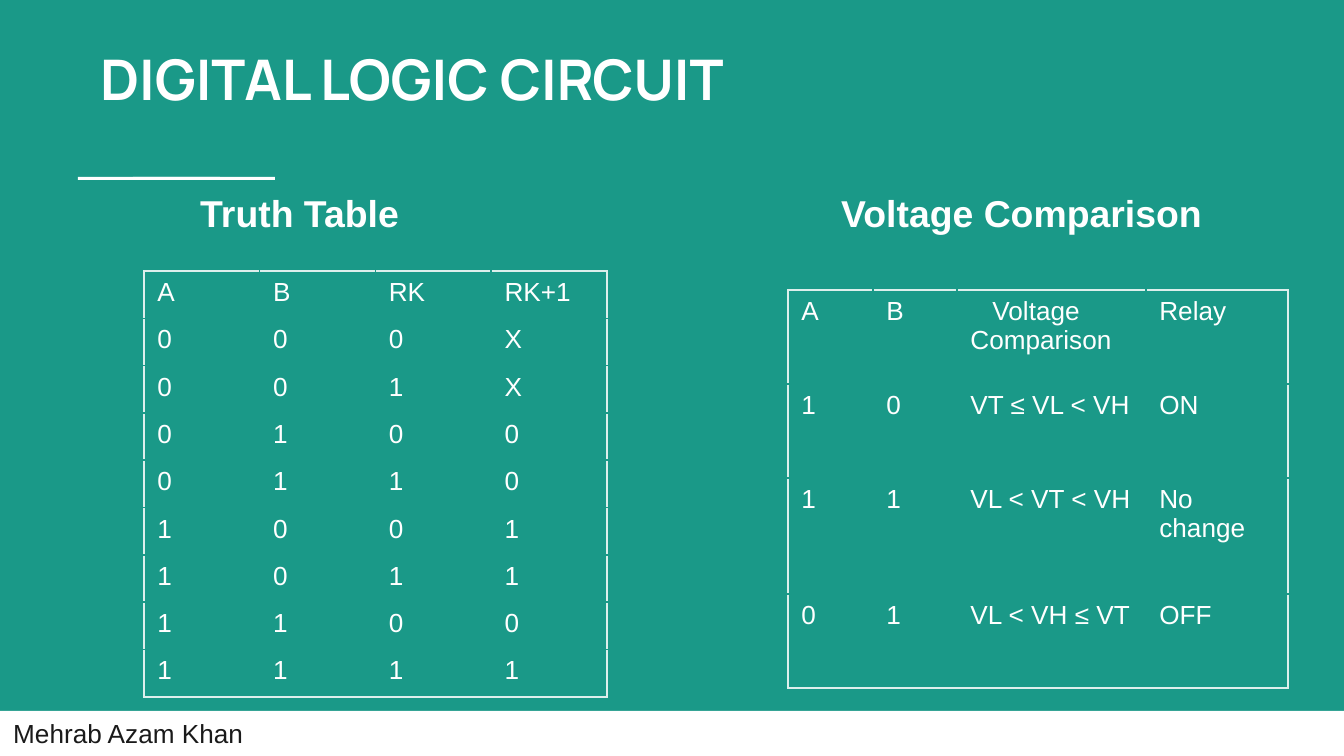
from dataclasses import dataclass

from lxml.etree import SubElement
from pptx import Presentation
from pptx.dml.color import RGBColor
from pptx.enum.shapes import MSO_SHAPE
from pptx.enum.text import MSO_ANCHOR, MSO_AUTO_SIZE, PP_ALIGN
from pptx.oxml.ns import qn
from pptx.util import Pt

PX = 914400 / 134.4


@dataclass(frozen=True)
class Theme:
    teal: str = "1A9988"
    white: str = "FFFFFF"
    ink: str = "1A1A1A"
    frame: str = "DDEFEC"
    title_font: str = "Manrope"
    body_font: str = "Arial"
    title_size: int = 30
    heading_size: int = 20
    body_size: int = 14


THEME = Theme()

TRUTH_ROWS = [
    ["A", "B", "RK", "RK+1"],
    *(list(row) for row in ("000X", "001X", "0100", "0110",
                            "1001", "1011", "1100", "1111")),
]
VOLTAGE_ROWS = [
    ["A", "B", "Voltage Comparison", "Relay"],
    ["1", "0", "VT ≤ VL < VH", "ON"],
    ["1", "1", "VL < VT < VH", "No change"],
    ["0", "1", "VL < VH ≤ VT", "OFF"],
]


def px(n):
    return round(n * PX)


def box(*lengths):
    return [px(n) for n in lengths]


def write(tf, text, size, color=THEME.white, font=THEME.body_font, bold=False):
    tf.text = text
    p = tf.paragraphs[0]
    p.alignment = PP_ALIGN.LEFT
    for r in p.runs:
        r.font.name, r.font.size, r.font.bold = font, Pt(size), bold
        r.font.color.rgb = RGBColor.from_string(color)


def add_title(s, text, *place):
    sp = s.shapes.title
    sp.left, sp.top, sp.width, sp.height = box(*place)
    tf = sp.text_frame
    tf.auto_size = MSO_AUTO_SIZE.NONE
    tf.vertical_anchor = MSO_ANCHOR.TOP
    tf.margin_left = tf.margin_right = tf.margin_top = tf.margin_bottom = px(13)
    write(tf, text, THEME.title_size, font=THEME.title_font, bold=True)


def add_heading(s, text, *place):
    tf = s.shapes.add_textbox(*box(*place)).text_frame
    tf.word_wrap = True
    write(tf, text, THEME.heading_size, bold=True)


def add_bar(s, *place):
    sp = s.shapes.add_shape(MSO_SHAPE.RECTANGLE, *box(*place))
    sp.shadow.inherit = False
    sp.fill.solid()
    sp.fill.fore_color.rgb = RGBColor.from_string(THEME.white)
    sp.line.fill.background()
    return sp


def set_borders(cell, outer_sides):
    tc_pr = cell._tc.get_or_add_tcPr()
    for side in "LRTB":
        ln = SubElement(tc_pr, qn(f"a:ln{side}"), w=str(Pt(1)))
        color = THEME.frame if side in outer_sides else THEME.teal
        SubElement(SubElement(ln, qn("a:solidFill")), qn("a:srgbClr"), val=color)


def add_grid(s, rows, place, widths=(), heights=()):
    n_rows, n_cols = len(rows), len(rows[0])
    table = s.shapes.add_table(n_rows, n_cols, *box(*place)).table
    table.first_row = table.horz_banding = False
    for column, width in zip(table.columns, widths):
        column.width = px(width)
    for row, height in zip(table.rows, heights):
        row.height = px(height)
    for i, row in enumerate(rows):
        for j, text in enumerate(row):
            cell = table.cell(i, j)
            edges = {"L": j == 0, "R": j == n_cols - 1,
                     "T": i == 0, "B": i == n_rows - 1}
            set_borders(cell, [side for side, outer in edges.items() if outer])
            cell.fill.background()
            write(cell.text_frame, text, THEME.body_size)
    return table


def main():
    prs = Presentation()
    prs.slide_width, prs.slide_height = box(1344, 756)
    s = prs.slides.add_slide(prs.slide_layouts[5])
    s.background.fill.solid()
    s.background.fill.fore_color.rgb = RGBColor.from_string(THEME.teal)

    # Title and the two-part accent rule
    for left in (78, 133):
        add_bar(s, left, 177, 142, 3)
    add_title(s, "DIGITAL LOGIC CIRCUIT", 87, 31, 1130, 140)

    # Tables
    add_grid(s, TRUTH_ROWS, (144, 271, 463, 426))
    voltage = add_grid(s, VOLTAGE_ROWS, (788, 290, 500, 398),
                       widths=(85, 84, 189, 142), heights=(94, 94, 116, 94))
    header = voltage.cell(0, 2).text_frame.paragraphs[0]
    header._p.get_or_add_pPr().set("indent", str(px(22)))

    # Table headings
    add_heading(s, "Truth Table", 187, 184, 504, 59)
    add_heading(s, "Voltage Comparison", 828, 184, 500, 59)

    # Footer
    footer = add_bar(s, 0, 711, 1344, 45)
    footer.text_frame.vertical_anchor = MSO_ANCHOR.MIDDLE
    write(footer.text_frame, "Mehrab Azam Khan", THEME.body_size, THEME.ink)

    prs.save("out.pptx")


if __name__ == "__main__":
    main()
